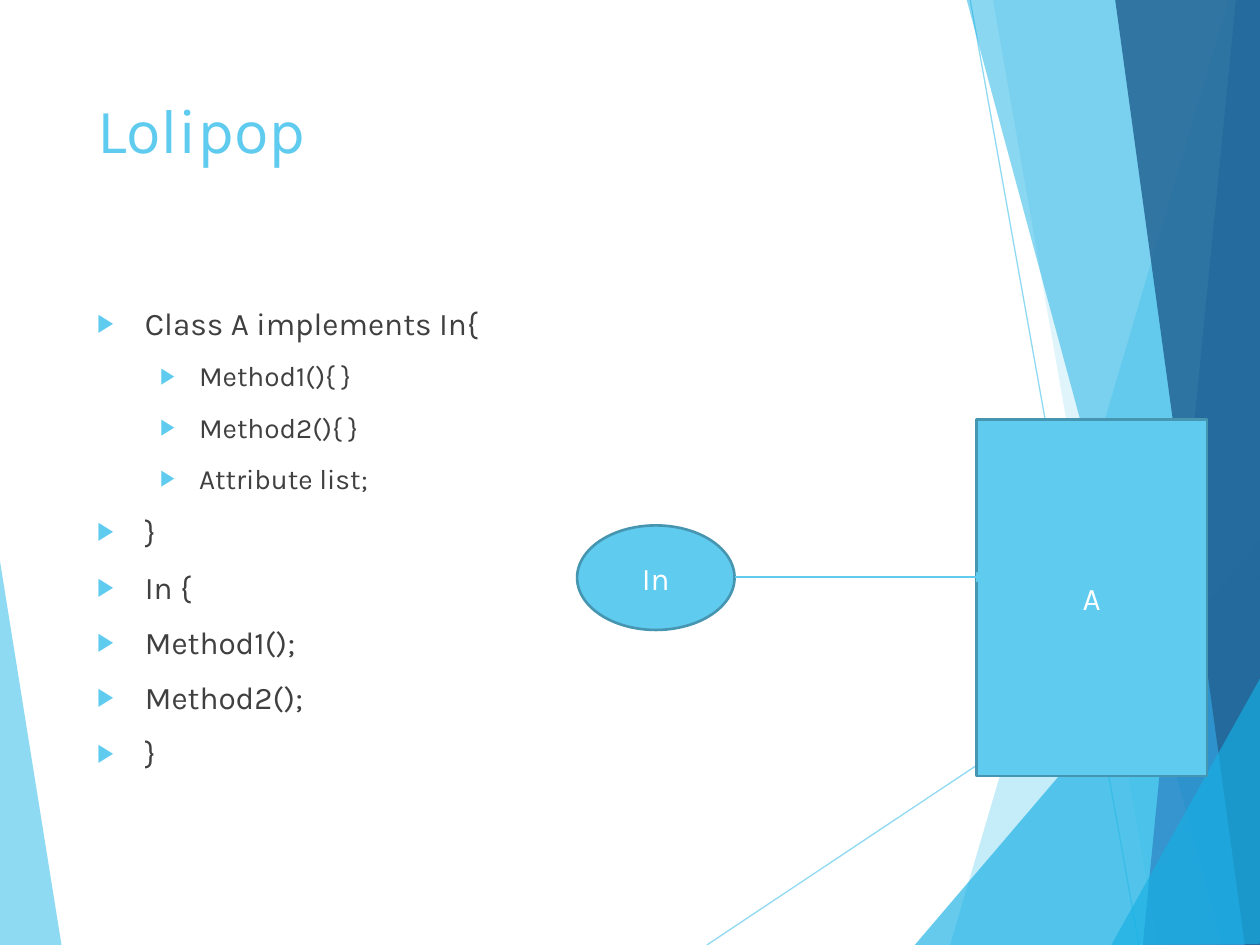
"""Build the Lolipop interface-notation slide."""
from dataclasses import dataclass
from typing import Any, NamedTuple

from lxml import etree
from pptx import Presentation
from pptx.dml.color import RGBColor
from pptx.enum.shapes import MSO_CONNECTOR, MSO_SHAPE
from pptx.enum.text import MSO_ANCHOR, MSO_AUTO_SIZE, PP_ALIGN
from pptx.oxml.ns import qn
from pptx.util import Inches, Pt

STRAIGHT = MSO_CONNECTOR.STRAIGHT
CIRCLE, RECTANGLE = MSO_SHAPE.FLOWCHART_CONNECTOR, MSO_SHAPE.RECTANGLE
TOP, MIDDLE = MSO_ANCHOR.TOP, MSO_ANCHOR.MIDDLE
LEFT, CENTER = PP_ALIGN.LEFT, PP_ALIGN.CENTER
NO_AUTOFIT = MSO_AUTO_SIZE.NONE


@dataclass(frozen=True)
class Theme:
    font: str = "Karla"
    accent: str = "5FCBEF"
    bright: str = "17B0E4"
    blue: str = "2E83C3"
    navy: str = "226292"
    outline: str = "4696B1"
    text: str = "404040"
    white: str = "FFFFFF"
    title_size: int = 36
    body_size: int = 18
    method_size: int = 16


class Facet(NamedTuple):
    points: list[tuple[float, float]]
    color: str
    opacity: int


class Rule(NamedTuple):
    start: tuple[float, float]
    end: tuple[float, float]
    width: float
    opacity: int = 100
    arrow: bool = False


class Node(NamedTuple):
    label: str
    preset: Any
    box: tuple[float, float, float, float]


class CodeLine(NamedTuple):
    text: str
    level: int = 0


class Level(NamedTuple):
    size: int
    margin: float
    indent: float


THEME = Theme()
LEVELS = [Level(THEME.body_size, 0.38, -0.38), Level(THEME.method_size, 0.81, -0.31)]

LEFT_FACET = Facet([(-0.01, 4.39), (0.49, 7.51), (-0.01, 7.5)], THEME.accent, 70)
BACKDROP_RULES = [
    Rule((5.61, 7.5), (10.01, 4.57), 0.75, 70),
    Rule((7.7, 0), (9.04, 7.5), 0.75, 70),
]
RIGHT_FACETS = [
    Facet([(9.75, 0), (7.54, 7.5), (10.02, 7.51), (10.01, 0.01)], THEME.accent, 36),
    Facet([(7.88, -0.01), (9.19, 7.5), (10.01, 7.5), (10.01, -0.01)], THEME.accent, 20),
    Facet([(7.26, 7.5), (10, 4.29), (10.01, 7.5)], THEME.bright, 66),
    Facet([(7.67, -0.01), (9.7, 7.5), (10.01, 7.49), (10.01, -0.01)], THEME.bright, 50),
    Facet([(9.81, -0.01), (9.07, 7.5), (10.01, 7.5), (10, -0.01)], THEME.blue, 70),
    Facet([(8.85, -0.01), (9.88, 7.5), (10.02, 7.5), (10, -0.01)], THEME.navy, 82),
    Facet([(8.82, 7.5), (10.02, 5.35), (10.02, 7.49)], THEME.bright, 66),
]
CODE = [
    CodeLine("Class A implements In{"),
    CodeLine("Method1(){ }", 1),
    CodeLine("Method2(){ }", 1),
    CodeLine("Attribute list;", 1),
    CodeLine("}"),
    CodeLine("In {"),
    CodeLine("Method1();"),
    CodeLine("Method2();"),
    CodeLine("}"),
]
NODES = [
    Node("In", CIRCLE, (4.58, 4.17, 1.25, 0.83)),
    Node("A", RECTANGLE, (7.75, 3.33, 1.83, 2.83)),
]
STICK = Rule((5.83, 4.58), (7.83, 4.58), 1, arrow=True)


def assign(target: Any, values: dict[str, Any]) -> None:
    """Set each named attribute on the target."""
    for name, value in values.items():
        setattr(target, name, value)


def rgb(color: str) -> RGBColor:
    """Convert a hex string to a colour."""
    return RGBColor.from_string(color)


def set_opacity(shape: Any, percent: int) -> None:
    """Apply an opacity to the colours of a shape."""
    for color in shape.element.spPr.iter(qn("a:srgbClr")):
        etree.SubElement(color, qn("a:alpha"), val=str(percent * 1000))


def draw_facet(slide: Any, facet: Facet) -> None:
    """Draw one translucent backdrop polygon."""
    start, *others = [(Inches(x), Inches(y)) for x, y in facet.points]
    builder = slide.shapes.build_freeform(*start, scale=1.0)
    builder.add_line_segments(others, close=True)
    polygon = builder.convert_to_shape()
    polygon.shadow.inherit = False
    polygon.fill.solid()
    polygon.fill.fore_color.rgb = rgb(facet.color)
    polygon.line.fill.background()
    set_opacity(polygon, facet.opacity)


def draw_rule(slide: Any, rule: Rule) -> None:
    """Draw a straight line with an optional arrowhead."""
    ends = [Inches(value) for value in (*rule.start, *rule.end)]
    connector = slide.shapes.add_connector(STRAIGHT, *ends)
    connector.line.color.rgb = rgb(THEME.accent)
    connector.line.width = Pt(rule.width)
    properties = connector.element.spPr
    if rule.arrow:
        etree.SubElement(properties.find(qn("a:ln")), qn("a:tailEnd"), type="triangle")
    if rule.opacity < 100:
        set_opacity(connector, rule.opacity)
    etree.SubElement(properties, qn("a:effectLst"))


def write(paragraph: Any, text: str, size: int, color: str, alignment: Any) -> None:
    """Write one formatted run into a paragraph."""
    paragraph.alignment = alignment
    run = paragraph.add_run()
    run.text = text
    assign(run.font, {"name": THEME.font, "size": Pt(size), "bold": False})
    run.font.color.rgb = rgb(color)


def draw_node(slide: Any, node: Node) -> None:
    """Draw one labelled diagram node."""
    shape = slide.shapes.add_shape(node.preset, *map(Inches, node.box))
    shape.shadow.inherit = False
    shape.fill.solid()
    shape.fill.fore_color.rgb = rgb(THEME.accent)
    shape.line.color.rgb = rgb(THEME.outline)
    shape.line.width = Pt(1.5)
    shape.text_frame.vertical_anchor = MIDDLE
    write(shape.text_frame.paragraphs[0], node.label, THEME.body_size, THEME.white, CENTER)


def place(holder: Any, top: float, height: float) -> Any:
    """Move a placeholder to the front and into the text column."""
    box = {"left": 0.67, "top": top, "width": 6.94, "height": height}
    assign(holder, {side: Inches(value) for side, value in box.items()})
    frame = holder.text_frame
    assign(frame, {"word_wrap": True, "auto_size": NO_AUTOFIT, "vertical_anchor": TOP})
    holder.element.getparent().append(holder.element)
    return frame


def write_code_line(paragraph: Any, line: CodeLine) -> None:
    """Write one bulleted line of code."""
    level = LEVELS[line.level]
    assign(paragraph, {"level": line.level, "space_before": Pt(10)})
    write(paragraph, line.text, level.size, THEME.text, LEFT)
    properties = paragraph._p.get_or_add_pPr()
    properties.set("marL", str(Inches(level.margin)))
    properties.set("indent", str(Inches(level.indent)))
    bullet_color = etree.SubElement(properties, qn("a:buClr"))
    etree.SubElement(bullet_color, qn("a:srgbClr"), val=THEME.accent)
    etree.SubElement(properties, qn("a:buSzPct"), val="80000")
    etree.SubElement(properties, qn("a:buChar"), char="▶")


def main() -> None:
    """Assemble and save the slide."""
    deck = Presentation()
    assign(deck, {"slide_width": Inches(10), "slide_height": Inches(7.5)})
    slide = deck.slides.add_slide(deck.slide_layouts[1])
    draw_facet(slide, LEFT_FACET)
    for rule in BACKDROP_RULES:
        draw_rule(slide, rule)
    for facet in RIGHT_FACETS:
        draw_facet(slide, facet)
    title = place(slide.shapes.title, 0.67, 1.44)
    write(title.paragraphs[0], "Lolipop", THEME.title_size, THEME.accent, LEFT)
    body = place(slide.placeholders[1], 2.36, 4.24)
    for index, line in enumerate(CODE):
        write_code_line(body.add_paragraph() if index else body.paragraphs[0], line)
    for node in NODES:
        draw_node(slide, node)
    draw_rule(slide, STICK)
    deck.save("out.pptx")


if __name__ == "__main__":
    main()
